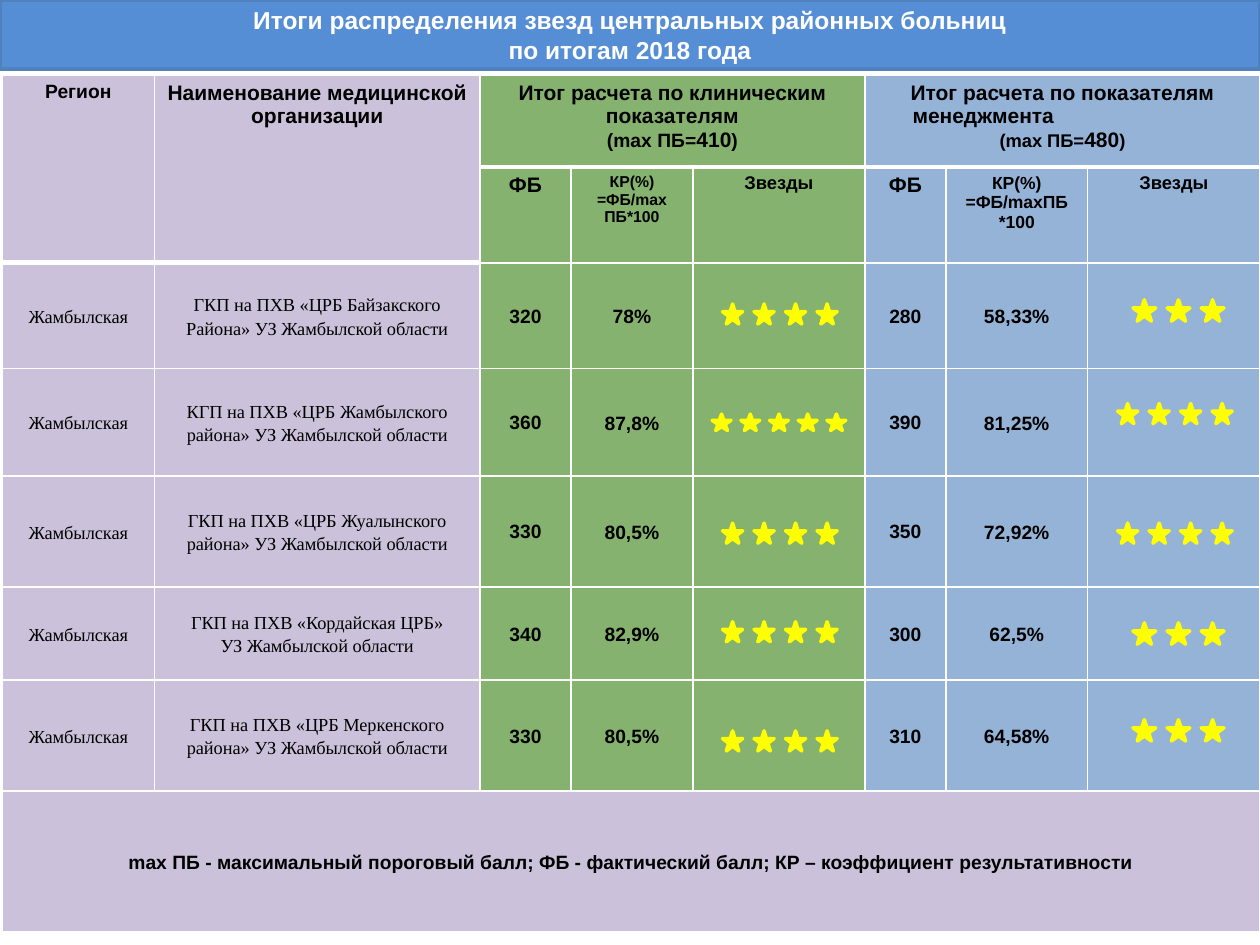
from itertools import accumulate
from lxml import etree
from pptx import Presentation
from pptx.dml import color
from pptx.enum import shapes, text
from pptx.oxml import ns
from pptx.util import Pt

SANS, SERIF = "Arial", "Times New Roman"
LILAC, GREEN, BLUE = "CCC1DA", "85B26E", "95B3D7"
WHITE, BLACK, YELLOW = "FFFFFF", "000000", "FFFF00"
COLUMN_WIDTHS = [87, 186, 52, 69.7, 98.3, 46.3, 81, 98.6]
ROW_HEIGHTS = [52.6, 54.7, 60.5, 61.3, 63.4, 53.3, 63.4, 80.6]
COLUMN_FILLS = [LILAC] * 2 + [GREEN] * 3 + [BLUE] * 3
WIDE, TIGHT, STANDARD = (5, 0, 5, 0), (1, 1, 1, 0), (7.2, 3.6, 7.2, 3.6)
REGION = "Жамбылская"
HOSPITALS = [
    (["ГКП на ПХВ «ЦРБ Байзакского Района» УЗ Жамбылской области"],
     "320", "78%", (4, -1), "280", "58,33%", (3, -3)),
    (["КГП на ПХВ «ЦРБ Жамбылского района» УЗ Жамбылской области"],
     "360", "87,8%", (5, 0), "390", "81,25%", (4, -5)),
    (["ГКП на ПХВ «ЦРБ Жуалынского района» УЗ Жамбылской области"],
     "330", "80,5%", (4, 1), "350", "72,92%", (4, 1)),
    (["ГКП на ПХВ «Кордайская ЦРБ»", "УЗ Жамбылской области"],
     "340", "82,9%", (4, -1), "300", "62,5%", (3, 0)),
    (["ГКП на ПХВ «ЦРБ Меркенского района» УЗ Жамбылской области"],
     "330", "80,5%", (4, 3), "310", "64,58%", (3, -3)),
]
STAR_STYLES = {3: (13, 12.2, 19.5, 2.5), 4: (11.5, 11.5, 18, 0.5), 5: (10.8, 9.4, 16.4, 0)}


def rgb(value):
    return color.RGBColor.from_string(value)


def add_run(paragraph, words, size, font=SANS, bold=True, fill=BLACK):
    run = paragraph.add_run()
    run.text = words
    run.font.size = Pt(size)
    run.font.name = font
    run.font.bold = bold
    run.font.color.rgb = rgb(fill)


def paint(shape, fill, line):
    shape.shadow.inherit = False
    shape.fill.solid()
    shape.fill.fore_color.rgb = rgb(fill)
    shape.line.color.rgb = rgb(line)
    shape.line.width = Pt(2)


def add_title(slide, left, top, width, height):
    title = slide.shapes.title
    title.left, title.top, title.width, title.height = map(Pt, (left, top, width, height))
    paint(title, "558ED5", "4F81BD")
    frame = title.text_frame
    frame.auto_size = text.MSO_AUTO_SIZE.NONE
    frame.vertical_anchor = text.MSO_ANCHOR.MIDDLE
    paragraph = frame.paragraphs[0]
    paragraph.alignment = text.PP_ALIGN.CENTER
    add_run(paragraph, "Итоги распределения звезд центральных районных больниц", 14, fill=WHITE)
    paragraph.add_line_break()
    add_run(paragraph, "по итогам 2018 года", 14, fill=WHITE)


def format_cell(cell, fill, bottom_width):
    properties = cell._tc.get_or_add_tcPr()
    for side in ("lnL", "lnR", "lnT", "lnB"):
        width = bottom_width if side == "lnB" else 1
        line = etree.SubElement(properties, ns.qn("a:" + side), w=str(Pt(width)))
        solid = etree.SubElement(line, ns.qn("a:solidFill"))
        etree.SubElement(solid, ns.qn("a:srgbClr"), val=WHITE)
    cell.fill.solid()
    cell.fill.fore_color.rgb = rgb(fill)


def write_cell(cell, paragraphs, margins=STANDARD, middle=False, spacing=None, font=SANS, bold=True):
    cell.margin_left, cell.margin_top, cell.margin_right, cell.margin_bottom = map(Pt, margins)
    cell.vertical_anchor = text.MSO_ANCHOR.MIDDLE if middle else text.MSO_ANCHOR.TOP
    for index, runs in enumerate(paragraphs):
        frame = cell.text_frame
        paragraph = frame.add_paragraph() if index else frame.paragraphs[0]
        paragraph.alignment = text.PP_ALIGN.CENTER
        if spacing:
            paragraph.line_spacing = spacing
        for words, size in runs:
            add_run(paragraph, words, size, font, bold)


def write_header(table):
    for column in (0, 1):
        table.cell(0, column).merge(table.cell(1, column))
    for column in (2, 5):
        table.cell(0, column).merge(table.cell(0, column + 2))
    write_cell(table.cell(0, 0), [[("Регион", 11)]])
    write_cell(table.cell(0, 1), [[("Наименование медицинской организации", 12)]])
    write_cell(table.cell(0, 2), [
        [("Итог расчета по клиническим показателям", 12)],
        [("(mах ПБ=", 11), ("410", 12), (")", 11)]])
    management = table.cell(0, 5)
    write_cell(management, [
        [("Итог расчета по показателям", 12)], [("менеджмента", 12)],
        [("(mах ПБ=", 10.5), ("480", 12), (")", 10.5)]])
    indented = management.text_frame.paragraphs[1]
    indented.alignment = text.PP_ALIGN.LEFT
    indented._p.get_or_add_pPr().set("marL", str(Pt(20)))
    for column, size, formula in ((2, 9, "=ФБ/mах ПБ*100"), (5, 10, "=ФБ/mахПБ *100")):
        write_cell(table.cell(1, column), [[("ФБ", 12)]])
        write_cell(table.cell(1, column + 1), [[("КР(%)", size)], [(formula, size)]])
        write_cell(table.cell(1, column + 2), [[("Звезды", 10.5)]])


def write_hospital(table, row, hospital):
    name, clinical, clinical_rate, _, management, management_rate, _ = hospital
    for column, lines in ((0, [REGION]), (1, name)):
        write_cell(table.cell(row, column), [[(line, 10.5)] for line in lines],
                   WIDE, True, 1.15, SERIF, False)
    for column, score, rate in ((2, clinical, clinical_rate), (5, management, management_rate)):
        write_cell(table.cell(row, column), [[(score, 11)]], TIGHT, True)
        write_cell(table.cell(row, column + 1), [[(rate, 11)]], WIDE, True, 1.15)


def add_stars(slide, left, top, width, height, count, rise):
    star_width, star_height, pitch, shift = STAR_STYLES[count]
    start = left + (width - star_width - pitch * (count - 1)) / 2 + shift
    star_top = top + (height - star_height) / 2 + rise
    group = slide.shapes.add_group_shape()
    for index in range(count):
        star = group.shapes.add_shape(
            shapes.MSO_SHAPE.STAR_5_POINT, Pt(start + index * pitch), Pt(star_top),
            Pt(star_width), Pt(star_height))
        paint(star, YELLOW, YELLOW)


def add_results(slide, left, top, width, height):
    frame = slide.shapes.add_table(
        len(ROW_HEIGHTS), len(COLUMN_WIDTHS), Pt(left), Pt(top), Pt(width), Pt(height))
    table = frame.table
    table.first_row = table.horz_banding = False
    for column, size in zip(table.columns, COLUMN_WIDTHS):
        column.width = Pt(size)
    last = len(ROW_HEIGHTS) - 1
    for index, size in enumerate(ROW_HEIGHTS):
        table.rows[index].height = Pt(size)
        for cell, fill in zip(table.rows[index].cells, COLUMN_FILLS):
            format_cell(cell, LILAC if index == last else fill, 1 if index else 3)
    write_header(table)
    lefts = list(accumulate(COLUMN_WIDTHS, initial=left))
    tops = list(accumulate(ROW_HEIGHTS, initial=top))
    for row, hospital in enumerate(HOSPITALS, 2):
        write_hospital(table, row, hospital)
        for column, (count, rise) in ((4, hospital[3]), (7, hospital[6])):
            add_stars(slide, lefts[column], tops[row], COLUMN_WIDTHS[column],
                      ROW_HEIGHTS[row], count, rise)
    table.cell(last, 0).merge(table.cell(last, len(COLUMN_WIDTHS) - 1))
    write_cell(table.cell(last, 0), [[(
        "mах ПБ - максимальный пороговый балл; ФБ - фактический балл; "
        "КР – коэффициент результативности", 11)]], WIDE, True, 1.15)


def main():
    presentation = Presentation()
    presentation.slide_width, presentation.slide_height = Pt(720), Pt(540)
    slide = presentation.slides.add_slide(presentation.slide_layouts[5])
    add_title(slide, 0, 0, 720, 39.6)
    add_results(slide, 1.3, 42.9, sum(COLUMN_WIDTHS), sum(ROW_HEIGHTS))
    presentation.save("out.pptx")


if __name__ == "__main__":
    main()
